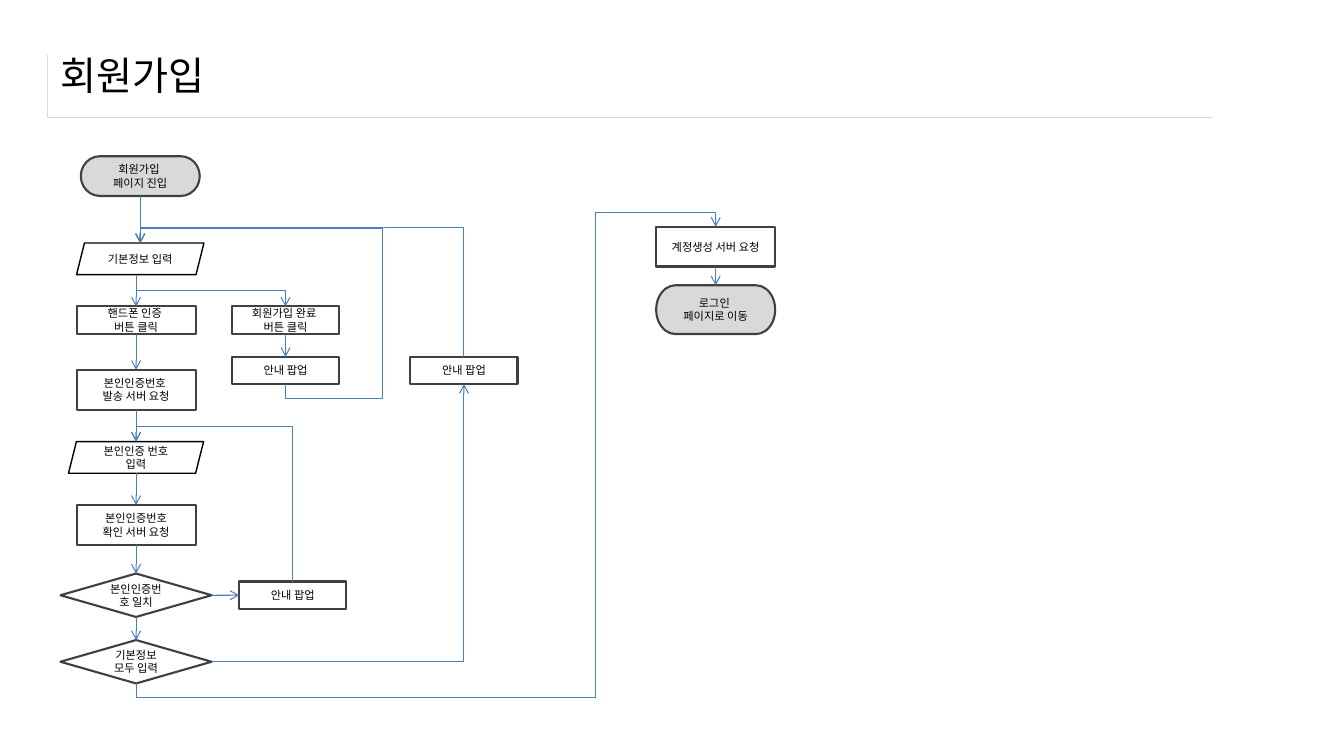
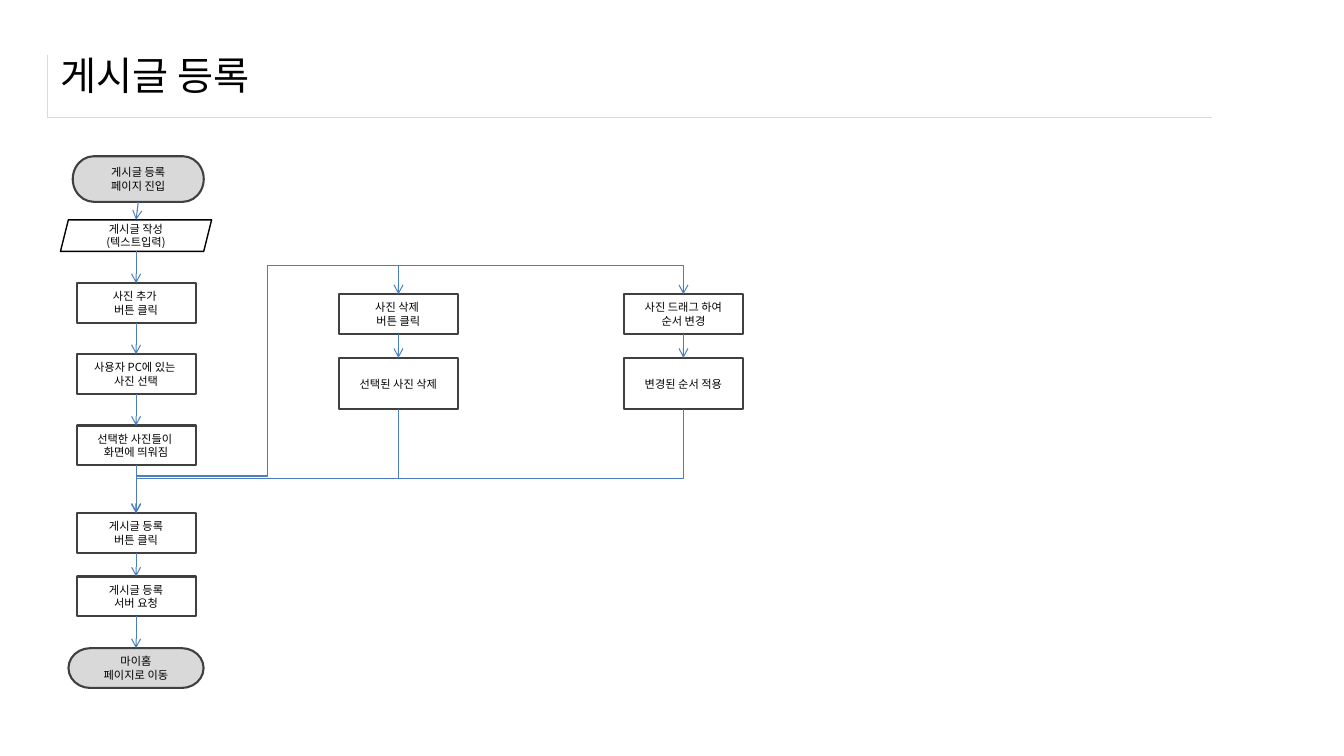
from dataclasses import dataclass
from typing import Any

from lxml import etree
from pptx import Presentation
from pptx.dml.color import RGBColor
from pptx.enum import shapes, text
from pptx.oxml import ns
from pptx.util import Pt

FONT = "Noto Sans CJK KR"
BLACK, WHITE, DARK, GREY, BLUE = "000000", "FFFFFF", "404040", "D9D9D9", "4B7EBC"
KIND = shapes.MSO_SHAPE
START, STEP, INPUT, CHECK = (KIND.FLOWCHART_TERMINATOR, KIND.FLOWCHART_PROCESS,
                             KIND.PARALLELOGRAM, KIND.FLOWCHART_DECISION)
TOP, LEFT, BOTTOM, RIGHT = range(4)


def rgb(color):
    return RGBColor.from_string(color)


def sub(parent, tag, **attrs):
    return etree.SubElement(parent, ns.qn(tag), attrs)


def style_text(tf, size, align):
    for p in tf.paragraphs:
        p.alignment = align
        for r in p.runs:
            r.font.name = FONT
            r.font.size = Pt(size)
            r.font.color.rgb = rgb(BLACK)
            sub(r.font._element, "a:ea", typeface=FONT)


def port(sp, side):
    fx, fy = [(0.5, 0), (0, 0.5), (0.5, 1), (1, 0.5)][side]
    return int(sp.left + sp.width * fx), int(sp.top + sp.height * fy)


def style_line(c):
    c.line.color.rgb = rgb(BLUE)
    c.line.width = Pt(0.75)
    sub(c.line._get_or_add_ln(), "a:tailEnd", type="arrow")
    sub(c._element.spPr, "a:effectLst")


@dataclass
class Flow:
    s: Any
    x: float
    y: float

    def node(self, kind, cx, top, w, h, label):
        sp = self.s.shapes.add_shape(kind, Pt(self.x + cx - w / 2), Pt(self.y + top), Pt(w), Pt(h))
        sp.shadow.inherit = False
        sp.fill.solid()
        sp.fill.fore_color.rgb = rgb(GREY if kind == START else WHITE)
        sp.line.color.rgb = rgb(BLACK if kind == INPUT else DARK)
        sp.line.width = Pt(1 if kind == INPUT else 1.5)
        sp.text_frame.text = label
        sp.text_frame.word_wrap = True
        style_text(sp.text_frame, 8, text.PP_ALIGN.CENTER)
        return sp

    def arrow(self, a, b, out=BOTTOM, into=TOP):
        start, end = port(a, out), port(b, into)
        if a.auto_shape_type == INPUT:
            start = end[0], start[1]
        c = self.s.shapes.add_connector(shapes.MSO_CONNECTOR.STRAIGHT, *start, *end)
        if a.auto_shape_type != INPUT:
            c.begin_connect(a, out)
        if b.auto_shape_type != INPUT:
            c.end_connect(b, into)
        style_line(c)

    def chain(self, *nodes):
        for a, b in zip(nodes, nodes[1:]):
            self.arrow(a, b)

    def route(self, start, end, *bends):
        (x1, y1), (x2, y2) = start, end
        dx, dy = x2 - x1, y2 - y1
        if bends:
            cx, cy = (x1 + x2) // 2, (y1 + y2) // 2
            x1, x2 = cx - dy // 2, cx + dy // 2
            y1, y2 = cy + dx // 2, cy - dx // 2
        c = self.s.shapes.add_connector(shapes.MSO_CONNECTOR.ELBOW, x1, y1, x2, y2)
        if bends:
            c._element.spPr.find(ns.qn("a:xfrm")).set("rot", "5400000")
        geom = c._element.spPr.find(ns.qn("a:prstGeom"))
        geom.set("prst", f"bentConnector{len(bends) + 2}")
        av = geom.find(ns.qn("a:avLst"))
        for i, bend in enumerate(bends):
            if i % 2:
                ratio = (Pt(self.x + bend) - start[0]) / dx
            else:
                ratio = (Pt(self.y + bend) - start[1]) / dy
            sub(av, "a:gd", name=f"adj{i + 1}", fmla=f"val {round(ratio * 100000)}")
        style_line(c)


def set_up_layout(layout, s):
    title = layout.placeholders[0]
    title.left, title.top, title.width, title.height = Pt(36), Pt(29.5), Pt(899), Pt(48.2)
    title.text_frame.vertical_anchor = text.MSO_ANCHOR.MIDDLE
    frame = s.shapes.add_table(1, 1, Pt(34), Pt(39), Pt(832), Pt(45))
    frame.table.first_row = frame.table.horz_banding = False
    cell = frame.table.cell(0, 0)
    tc_pr = cell._tc.get_or_add_tcPr()
    for side in "LRTB":
        ln = sub(tc_pr, f"a:ln{side}", w=str(Pt(0.25)))
        if side in "LB":
            sub(sub(ln, "a:solidFill"), "a:srgbClr", val=GREY)
        else:
            sub(ln, "a:noFill")
    cell.fill.background()
    layout.shapes._spTree.append(frame._element)


def add_title(s, title):
    tf = s.shapes.title.text_frame
    tf.text = title
    style_text(tf, 28, text.PP_ALIGN.LEFT)


def sign_up(s, x, y):
    f = Flow(s, x, y)
    col, side = 54, 160.8
    start = f.node(START, 57, 0, 85, 28.4, "회원가입 \n페이지 진입")
    basic = f.node(INPUT, 57, 62, 91, 22.6, "기본정보 입력")
    phone = f.node(STEP, col, 107.3, 85, 19.5, "핸드폰 인증 \n버튼 클릭")
    done = f.node(STEP, side, 107.3, 76.5, 19.5, "회원가입 완료 \n버튼 클릭")
    send = f.node(STEP, col, 152.6, 85, 28.4, "본인인증번호 \n발송 서버 요청")
    number = f.node(INPUT, col, 203.8, 96.5, 22.6, "본인인증 번호 입력")
    confirm = f.node(STEP, col, 249.1, 85, 28.4, "본인인증번호\n확인 서버 요청")
    match = f.node(CHECK, col, 298.1, 108, 31, "본인인증번호 일치")
    filled = f.node(CHECK, col, 345.6, 108, 31, "기본정보 모두 입력")
    early, wrong, missing = [f.node(STEP, cx, top, 76.5, 19.5, "안내 팝업")
                             for cx, top in [(side, 143.3), (166, 303.8), (288.2, 143.3)]]
    create = f.node(STEP, 468, 50.4, 85, 28.4, "계정생성 서버 요청")
    login = f.node(START, 468, 92.2, 85, 34.8, "로그인 \n페이지로 이동")

    f.chain(start, basic, phone, send, number, confirm, match, filled)
    f.chain(done, early)
    f.chain(create, login)
    f.arrow(match, wrong, RIGHT, LEFT)
    f.route((port(phone, TOP)[0], port(basic, BOTTOM)[1]), port(done, TOP), 95.8)
    f.route(port(early, BOTTOM), port(basic, TOP), 172.8, 229.9, 51.8)
    f.route(port(wrong, TOP), port(number, TOP), 193)
    f.route(port(filled, RIGHT), port(missing, BOTTOM))
    f.route(port(missing, TOP), port(basic, TOP), 51.1)
    f.route(port(filled, BOTTOM), port(create, TOP), 386.6, 382.5, 40.3)


def write_post(s, x, y):
    f = Flow(s, x, y)
    col = 54
    start = f.node(START, 55.6, 0, 93.6, 32.6, "게시글 등록\n페이지 진입")
    write = f.node(INPUT, col, 45.4, 108, 22.6, "게시글 작성\n(텍스트입력)")
    add, pick, shown, register, request = [
        f.node(STEP, col, top, 85, 28.4, label) for top, label in [
            (90.7, "사진 추가 \n버튼 클릭"),
            (141.4, "사용자 PC에 있는 \n사진 선택"),
            (192.4, "선택한 사진들이 \n화면에 띄워짐"),
            (254.9, "게시글 등록\n버튼 클릭"),
            (300.2, "게시글 등록\n서버 요청")]]
    home = f.node(START, col, 351.4, 96.5, 28.4, "마이홈\n페이지로 이동")
    f.chain(start, write, add, pick, shown, register, request, home)

    for cx, turn, action, result in [
            (241.4, 228.2, "사진 삭제 \n버튼 클릭", "선택된 사진 삭제"),
            (445, 228.7, "사진 드래그 하여 순서 변경", "변경된 순서 적용")]:
        upper = f.node(STEP, cx, 98.6, 85, 28.4, action)
        lower = f.node(STEP, cx, 144, 85, 36.7, result)
        f.arrow(upper, lower)
        f.route(port(shown, BOTTOM), port(upper, TOP), turn, 147.8, 77.8)
        f.route(port(lower, BOTTOM), port(register, TOP), 230.4)


def main():
    prs = Presentation()
    prs.slide_width, prs.slide_height = Pt(960), Pt(540)
    layout = prs.slide_layouts[5]
    for i, (title, draw) in enumerate([("회원가입", sign_up), ("게시글 등록", write_post)]):
        s = prs.slides.add_slide(layout)
        if i == 0:
            set_up_layout(layout, s)
        add_title(s, title)
        draw(s, 43.2, 111.6)
    prs.save("out.pptx")


if __name__ == "__main__":
    main()
